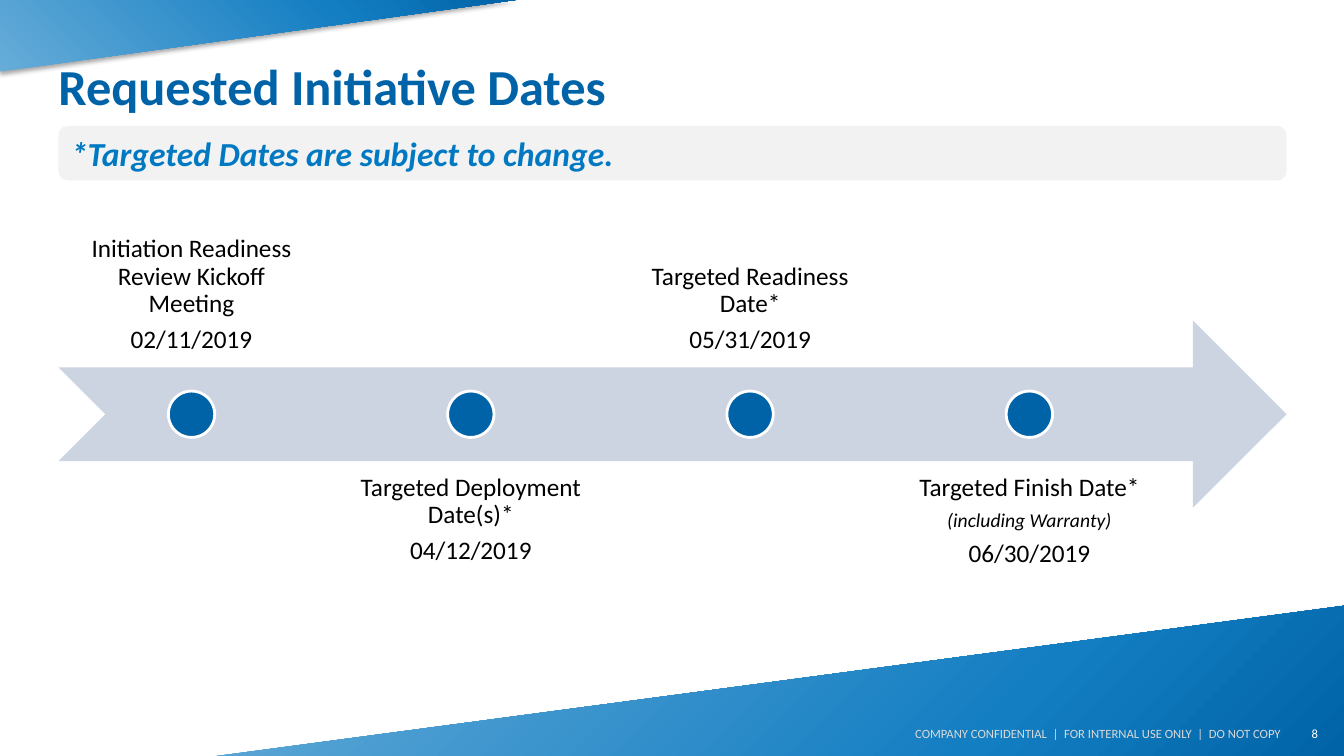
from lxml import etree
from pptx import Presentation, util as u
from pptx.dml.color import RGBColor
from pptx.enum import shapes, text
from pptx.oxml.ns import qn

# Content
TITLE = "Requested Initiative Dates"
NOTICE = "*Targeted Dates are subject to change."
FOOTER = "COMPANY CONFIDENTIAL  |  FOR INTERNAL USE ONLY  |  DO NOT COPY"
PAGE = "8"
MILESTONES = [
    ["Initiation Readiness Review Kickoff Meeting", "02/11/2019"],
    ["Targeted Deployment Date(s)*", "04/12/2019"],
    ["Targeted Readiness Date*", "05/31/2019"],
    ["Targeted Finish Date*", "(including Warranty)", "06/30/2019"],
]
COLORS = {"deep": "0063A7", "mid": "147EC2", "light": "66ACD8", "notice": "0079C2",
          "arrow": "CCD3E1", "panel": "F2F2F2", "footer": "D9D9D9",
          "white": "FFFFFF", "black": "000000"}

# Geometry in inches
LEFT, WIDTH = 0.58, 12.18
ARROW_TOP, ARROW_H = 3.18, 1.86
LABEL_W, LABEL_STEP = 2.64, 2.77
LABEL_TOPS = (1.79, 4.57)
DOT = 0.46
# Corner wedges: outline, middle gradient stop, gradient focus
WEDGES = [
    ([(0, 0), (5.11, 0), (0, 0.71)], 33, {"l": 100, "b": 100}),
    ([(13.33, 6.01), (13.33, 7.5), (2.15, 7.5)], 30, {"l": 100, "t": 100}),
]
MIDDLE, TOP, BOTTOM = (text.MSO_ANCHOR.MIDDLE, text.MSO_ANCHOR.TOP, text.MSO_ANCHOR.BOTTOM)
ALIGN = text.PP_ALIGN

prs = Presentation()
prs.slide_width, prs.slide_height = u.Inches(13.33), u.Inches(7.5)
slide = prs.slides.add_slide(prs.slide_layouts[5])


def rgb(name):
    return RGBColor.from_string(COLORS[name])


def box(*lengths):
    return [u.Inches(length) for length in lengths]


def write(holder, lines, color, align=ALIGN.LEFT, anchor=MIDDLE,
          insets=(0.1, 0.05, 0.1, 0.05), **layout):
    """Fill a shape with (line, font values) pairs."""
    frame = holder.text_frame
    frame.word_wrap, frame.vertical_anchor = True, anchor
    frame.auto_size = text.MSO_AUTO_SIZE.NONE
    for side, inset in zip(("left", "top", "right", "bottom"), insets):
        setattr(frame, f"margin_{side}", u.Inches(inset))
    for i, (line, values) in enumerate(lines):
        para = frame.add_paragraph() if i else frame.paragraphs[0]
        para.alignment = align
        for key, value in layout.items():
            setattr(para, key, value)
        run = para.add_run()
        run.text = line
        run.font.color.rgb = rgb(color)
        for key, value in {"name": "Calibri", **values}.items():
            setattr(run.font, key, value)


def preset(kind, place, fill, outline=None):
    part = slide.shapes.add_shape(kind, *box(*place))
    part.shadow.inherit = False
    part.fill.solid()
    part.fill.fore_color.rgb = rgb(fill)
    if outline:
        part.line.color.rgb, part.line.width = rgb(outline), u.Pt(2)
    else:
        part.line.fill.background()
    return part


def add(parent, tag, **values):
    return etree.SubElement(parent, qn(f"a:{tag}"), {k: str(v) for k, v in values.items()})


# Corner wedges with radial gradient and soft shadow
for points, middle_stop, focus in WEDGES:
    outline = [box(*point) for point in points]
    builder = slide.shapes.build_freeform(*outline[0])
    builder.add_line_segments(outline[1:], close=True)
    wedge = builder.convert_to_shape()
    wedge.line.fill.background()
    wedge.shadow.inherit = False
    wedge.fill.gradient()
    props = wedge.element.spPr
    grad = props.find(qn("a:gradFill"))
    for child in list(grad):
        grad.remove(child)
    stops = add(grad, "gsLst")
    for place, name in ((0, "deep"), (middle_stop, "mid"), (100, "light")):
        add(add(stops, "gs", pos=place * 1000), "srgbClr", val=COLORS[name])
    add(add(grad, "path", path="circle"), "fillToRect",
        **{side: share * 1000 for side, share in focus.items()})
    shade = add(props.find(qn("a:effectLst")), "outerShdw", blurRad=u.Pt(3.1),
                dist=u.Pt(1.8), dir=90 * 60000, algn="t", rotWithShape=0)
    add(add(shade, "srgbClr", val=COLORS["black"]), "alpha", val=35000)

# Title and notice bar
title = slide.shapes.title
title.left, title.top, title.width, title.height = box(LEFT, 0.3, WIDTH, 1.09)
write(title, [(TITLE, {"size": u.Pt(36), "bold": True})], "deep",
      insets=(0, 0.05, 0.1, 0.05))
notice = preset(shapes.MSO_SHAPE.ROUNDED_RECTANGLE, (LEFT, 1.25, WIDTH, 0.54), "panel")
write(notice, [(NOTICE, {"size": u.Pt(24), "bold": True, "italic": True})], "notice")

# Timeline: labels alternate above and below the arrow
preset(shapes.MSO_SHAPE.NOTCHED_RIGHT_ARROW, (LEFT, ARROW_TOP, WIDTH, ARROW_H), "arrow")
for i, lines in enumerate(MILESTONES):
    left = LEFT + i * LABEL_STEP
    below = i % 2
    label = slide.shapes.add_textbox(*box(left, LABEL_TOPS[below], LABEL_W, ARROW_H))
    styled = [(line, {"size": u.Pt(14), "italic": True} if line.startswith("(")
               else {"size": u.Pt(18)}) for line in lines]
    write(label, styled, "black", ALIGN.CENTER, TOP if below else BOTTOM, (0.14,) * 4,
          line_spacing=0.9, space_after=u.Pt(6.3))
    preset(shapes.MSO_SHAPE.OVAL, (left + (LABEL_W - DOT) / 2,
           ARROW_TOP + (ARROW_H - DOT) / 2, DOT, DOT), "deep", "white")

# Footer and page number
for line, place, color, insets in (
        (FOOTER, (7.5, 7.2, 5.2, 0.16), "footer", (0, 0.05, 0, 0.05)),
        (PAGE, (12.25, 7.08, 0.92, 0.4), "white", (0.1, 0.05, 0.1, 0.05))):
    write(slide.shapes.add_textbox(*box(*place)), [(line, {"size": u.Pt(9)})],
          color, ALIGN.RIGHT, insets=insets)

prs.save("out.pptx")
